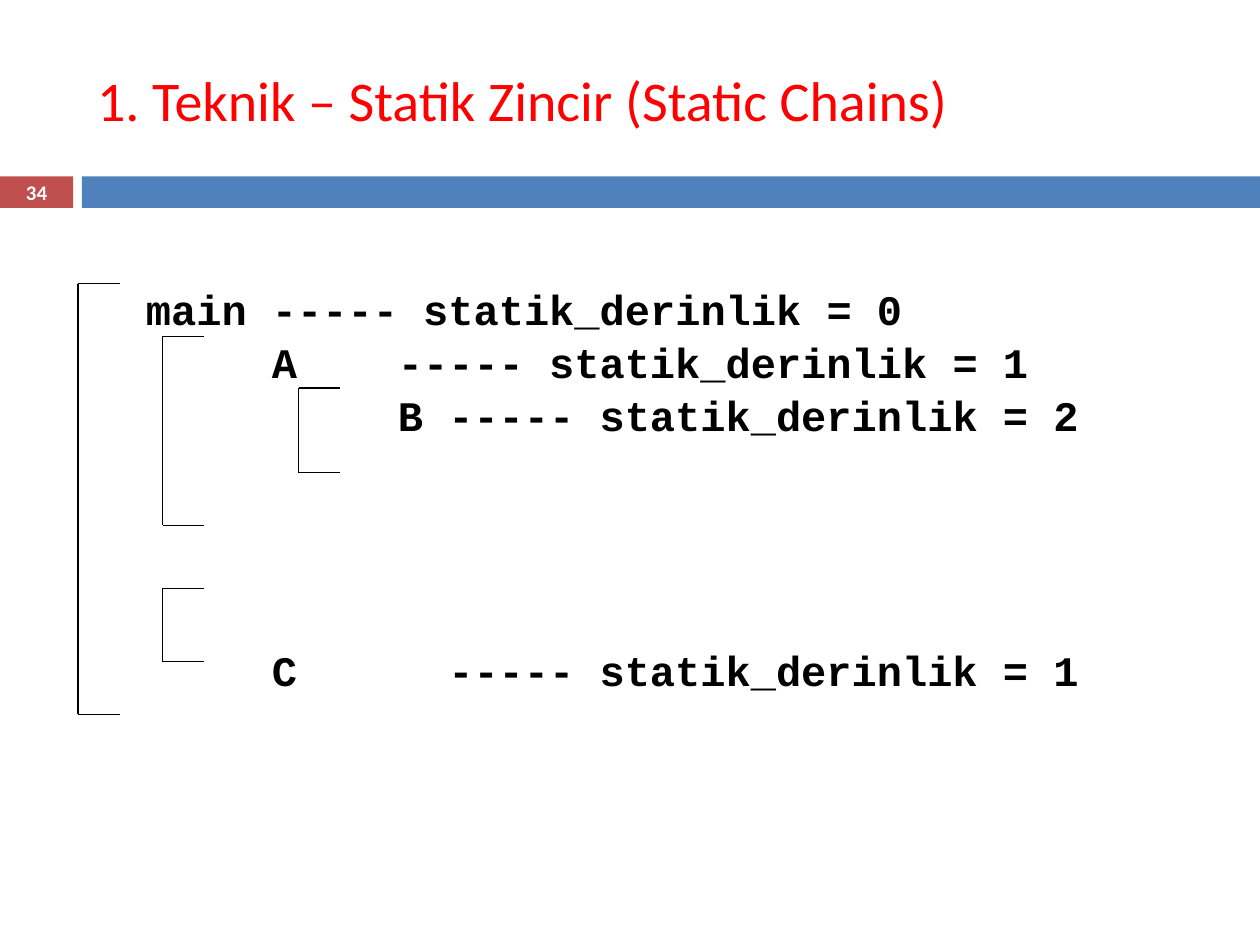
from dataclasses import dataclass

from lxml.etree import SubElement as Sub
from pptx import Presentation
from pptx.dml.color import RGBColor as Rgb
from pptx.enum.shapes import MSO_CONNECTOR as Conn, MSO_SHAPE as Kind
from pptx.enum.text import MSO_ANCHOR as Anchor, MSO_AUTO_SIZE as Fit, PP_ALIGN as Align
from pptx.oxml.ns import qn
from pptx.util import Inches, Pt


@dataclass(frozen=True)
class Theme:
    red: Rgb = Rgb(0xFF, 0, 0)
    brick: Rgb = Rgb(0xC0, 0x50, 0x4D)
    blue: Rgb = Rgb(0x4F, 0x81, 0xBD)
    black: Rgb = Rgb(0, 0, 0)
    white: Rgb = Rgb(0xFF, 0xFF, 0xFF)
    sans: str = "Calibri"
    mono: str = "Courier New"
    head: float = 32
    body: float = 24
    small: float = 11.9
    rule: float = 1


@dataclass(frozen=True)
class Bar:
    left: float
    width: float
    color: Rgb


@dataclass(frozen=True)
class Brace:
    left: float
    top: float
    foot: float


@dataclass(frozen=True)
class Row:
    text: str
    stops: tuple[float, ...]
    gap: float


THEME = Theme()
ARM = 0.33
LEAD = 1.55  # points between lines
SKIP = 116.6  # points left open above the last line

BARS = (Bar(0, 0.58, THEME.brick), Bar(0.65, 9.35, THEME.blue))
BRACES = (
    Brace(0.62, 2.25, 5.67),
    Brace(1.29, 2.67, 4.17),
    Brace(2.37, 3.08, 3.75),
    Brace(1.29, 4.67, 5.25),
)
ROWS = (
    Row("\tmain ----- statik_derinlik = 0", (0.35,), 0),
    Row("\tA\t----- statik_derinlik = 1", (1.35, 2.35), LEAD),
    Row("\tB ----- statik_derinlik = 2", (2.35,), LEAD),
    Row("\tC\t----- statik_derinlik = 1", (1.35, 2.75), SKIP),
)


def add_run(para, text: str, face: str, size: float, color: Rgb, bold: bool = True) -> None:
    run = para.add_run()
    run.text = text
    font = run.font
    font.name, font.size, font.bold = face, Pt(size), bold
    font.color.rgb = color


def place(shape, left: float, top: float, width: float, height: float) -> None:
    shape.left, shape.top = Inches(left), Inches(top)
    shape.width, shape.height = Inches(width), Inches(height)


def draw_bar(slide, bar: Bar) -> None:
    shape = slide.shapes.add_shape(
        Kind.RECTANGLE, Inches(bar.left), Inches(1.4), Inches(bar.width), Inches(0.25))
    shape.shadow.inherit = False
    shape.fill.solid()
    shape.fill.fore_color.rgb = bar.color
    shape.line.fill.background()


def draw_line(slide, x1: float, y1: float, x2: float, y2: float) -> None:
    line = slide.shapes.add_connector(
        Conn.STRAIGHT, Inches(x1), Inches(y1), Inches(x2), Inches(y2))
    line.line.color.rgb = THEME.black
    line.line.width = Pt(THEME.rule)
    Sub(line._element.spPr, qn("a:effectLst"))


def draw_brace(slide, brace: Brace) -> None:
    draw_line(slide, brace.left, brace.top, brace.left, brace.foot)
    for level in (brace.top, brace.foot):
        draw_line(slide, brace.left, level, brace.left + ARM, level)


def add_row(para, row: Row) -> None:
    tabs = Sub(para._p.get_or_add_pPr(), qn("a:tabLst"))
    for stop in row.stops:
        Sub(tabs, qn("a:tab"), pos=str(Inches(stop)), algn="l")
    para.space_before = Pt(row.gap)
    add_run(para, row.text, THEME.mono, THEME.body, THEME.black)


def main() -> None:
    deck = Presentation()
    deck.slide_width, deck.slide_height = Inches(10), Inches(7.5)
    slide = deck.slides.add_slide(deck.slide_layouts[5])

    # Band under the title
    for bar in BARS:
        draw_bar(slide, bar)

    # Title
    title = slide.shapes.title
    place(title, 0.67, 0.25, 8.92, 1.08)
    frame = title.text_frame
    frame.auto_size = Fit.NONE
    frame.vertical_anchor = Anchor.MIDDLE
    para = frame.paragraphs[0]
    para.alignment = Align.LEFT
    add_run(para, "1. Teknik – Statik Zincir (Static Chains)",
            THEME.sans, THEME.head, THEME.red, False)

    # Nested scopes with their depth
    frame = slide.shapes.add_textbox(
        Inches(0.71), Inches(1.83), Inches(8.2), Inches(4.34)).text_frame
    frame.word_wrap = True
    frame.margin_top = Inches(0.42)
    for i, row in enumerate(ROWS):
        add_row(frame.add_paragraph() if i else frame.paragraphs[0], row)

    # Scope brackets
    for brace in BRACES:
        draw_brace(slide, brace)

    # Page number
    frame = slide.shapes.add_textbox(
        Inches(0), Inches(1.39), Inches(0.58), Inches(0.27)).text_frame
    frame.word_wrap = True
    frame.vertical_anchor = Anchor.MIDDLE
    frame.margin_top = frame.margin_bottom = 0
    para = frame.paragraphs[0]
    para.alignment = Align.CENTER
    add_run(para, "34", THEME.sans, THEME.small, THEME.white)

    deck.save("out.pptx")


if __name__ == "__main__":
    main()
